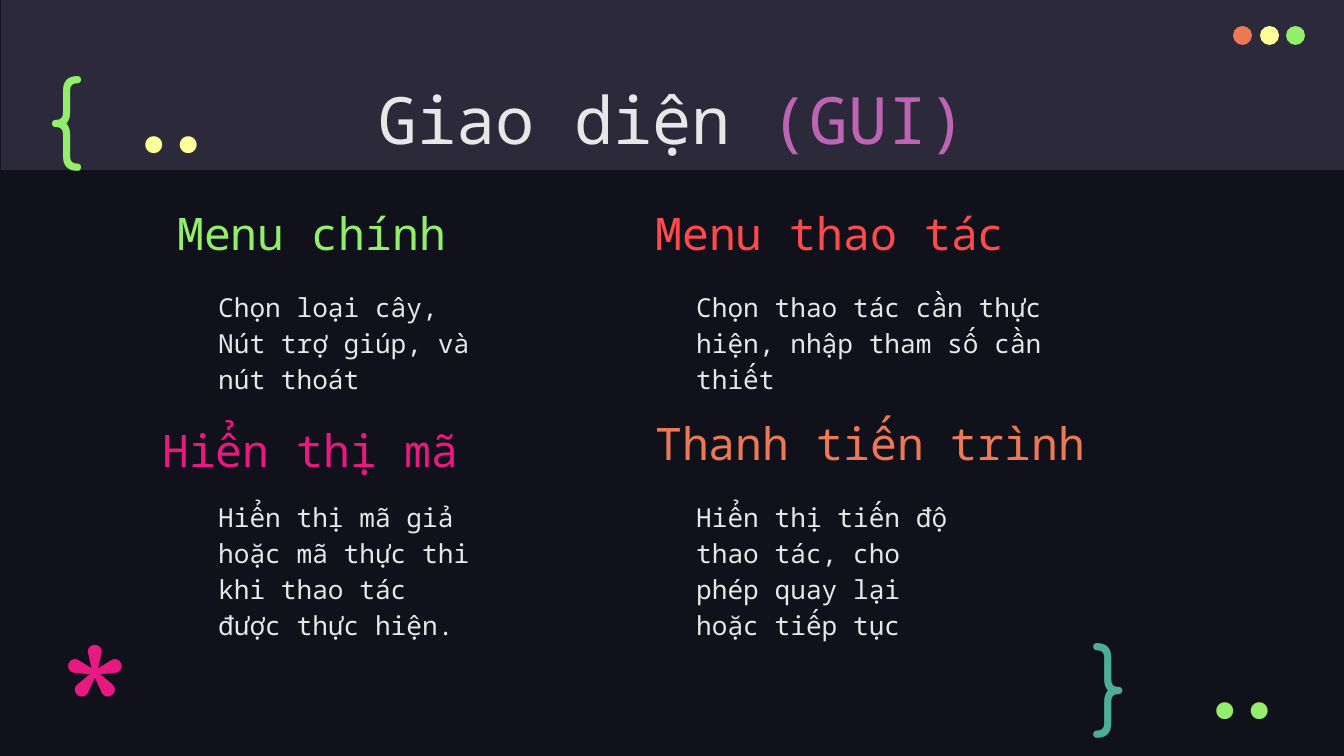
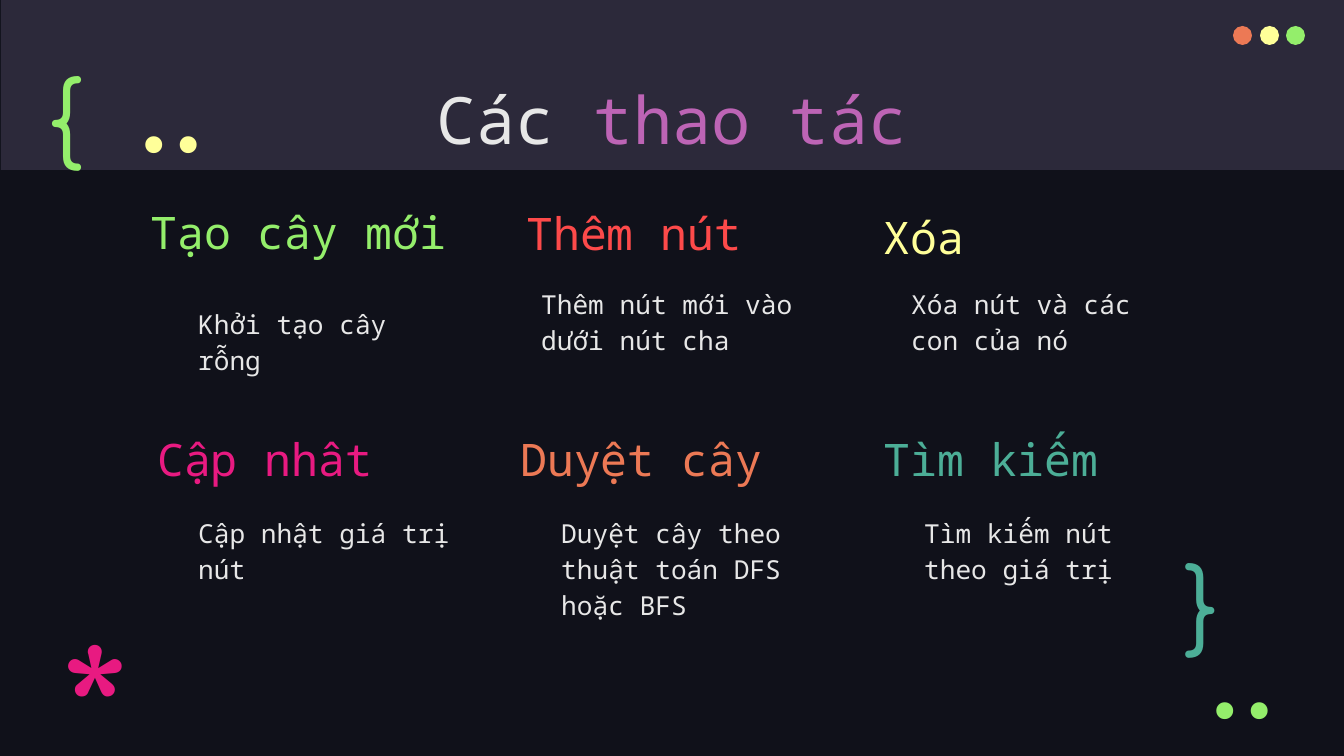
"""Build two slides on the interface and operations of a tree program."""
from dataclasses import dataclass

from pptx import Presentation
from pptx.dml.color import RGBColor
from pptx.enum.shapes import MSO_SHAPE
from pptx.enum.text import MSO_ANCHOR, PP_ALIGN
from pptx.util import Emu, Pt

PX = 914400 / 134.4
BACK, BAND, TEXT, ACCENT = "10111A", "2C293A", "E7E7E7", "BD64B5"
GREEN, RED, YELLOW = "94EE6B", "FD4A4A", "FFFF99"
PINK, ORANGE, TEAL = "E81A81", "EC7955", "4CAE97"
MONO, ROUND, CODE = "Noto Sans Mono", "Comfortaa", "Fira Code"


@dataclass
class Card:
    """A coloured heading with a description, nudged from its grid cell."""
    head: str
    color: str
    body: str
    head_size: tuple = (290, 73)
    head_nudge: tuple = (0, 0)
    body_nudge: tuple = (0, 0)
    body_width: int = 292


SLIDES = [
    {
        "title": ("Giao diện ", "(GUI)"),
        "brace": (1079, 610),
        "grid": {"origin": (164, 200), "step": (478, 210), "columns": 2},
        "cards": [
            Card("Menu chính", GREEN,
                 "Chọn loại cây, Nút trợ giúp, và nút thoát", (333, 73)),
            Card("Menu thao tác", RED,
                 "Chọn thao tác cần thực hiện, nhập tham số cần thiết",
                 (435, 73), body_width=414),
            Card("Hiển thị mã", PINK,
                 "Hiển thị mã giả hoặc mã thực thi khi thao tác được thực hiện.",
                 (405, 73), (-15, 7)),
            Card("Thanh tiến trình", ORANGE,
                 "Hiển thị tiến độ thao tác, cho phép quay lại hoặc tiếp tục",
                 (552, 73)),
        ],
    },
    {
        "title": ("Các ", "thao tác"),
        "brace": (1171, 530),
        "grid": {"origin": (144, 200), "step": (363, 226), "columns": 3},
        "cards": [
            Card("Tạo cây mới", GREEN, "Khởi tạo cây rỗng",
                 (351, 81), (-7, -9), (0, 17)),
            Card("Thêm nút", RED, "Thêm nút mới vào dưới nút cha",
                 head_nudge=(6, 0), body_nudge=(-20, -3)),
            Card("Xóa", YELLOW, "Xóa nút và các con của nó",
                 head_nudge=(0, 4), body_nudge=(-13, -3)),
            Card("Cập nhât", PINK, "Cập nhật giá trị nút"),
            Card("Duyệt cây", ORANGE, "Duyệt cây theo thuật toán DFS hoặc BFS"),
            Card("Tìm kiếm", TEAL, "Tìm kiếm nút theo giá trị"),
        ],
    },
]
BODY_OFFSET, BODY_HEIGHT = (41, 73), 129
LIGHTS = [(1233, ORANGE), (1260, YELLOW), (1286, GREEN)]


def rgb(color):
    return RGBColor.from_string(color)


def emu(*lengths):
    return [Emu(round(n * PX)) for n in lengths]


def add_filled(shapes, kind, box, color):
    sp = shapes.add_shape(kind, *emu(*box))
    sp.shadow.inherit = False
    sp.fill.solid()
    sp.fill.fore_color.rgb = rgb(color)
    sp.line.fill.background()


def add_text(slide, box, runs, size, font=MONO, align=PP_ALIGN.LEFT,
             anchor=MSO_ANCHOR.TOP, spacing=None):
    tf = slide.shapes.add_textbox(*emu(*box)).text_frame
    tf.word_wrap = True
    tf.vertical_anchor = anchor
    tf.margin_left = tf.margin_right = tf.margin_top = tf.margin_bottom = Pt(7.2)
    p = tf.paragraphs[0]
    p.alignment = align
    p.line_spacing = spacing
    p.font.size = Pt(size)
    p.font.name = font
    for text, color in runs:
        r = p.add_run()
        r.text = text
        r.font.color.rgb = rgb(color)


def add_card(slide, card, x, y):
    head_x, head_y = x + card.head_nudge[0], y + card.head_nudge[1]
    body_x = x + BODY_OFFSET[0] + card.body_nudge[0]
    body_y = y + BODY_OFFSET[1] + card.body_nudge[1]
    add_text(slide, (head_x, head_y, *card.head_size), [(card.head, card.color)],
             24, anchor=MSO_ANCHOR.BOTTOM, spacing=1.15)
    add_text(slide, (body_x, body_y, card.body_width, BODY_HEIGHT),
             [(card.body, TEXT)], 14, spacing=1.15)


def add_marks(slide, brace):
    add_text(slide, (34, 43, 103, 128), [("{", GREEN)], 50, ROUND)
    add_text(slide, (*brace, 77, 112), [("}", TEAL)], 50, ROUND)
    for x, y, color in [(1169, 641, GREEN), (98, 75, YELLOW)]:
        add_text(slide, (x, y, 144, 81), [("..", color)], 50, CODE,
                 PP_ALIGN.RIGHT, MSO_ANCHOR.MIDDLE)
    lights = slide.shapes.add_group_shape()
    for x, color in LIGHTS:
        add_filled(lights.shapes, MSO_SHAPE.OVAL, (x, 26, 19, 19), color)
    add_text(slide, (47, 593, 77, 117), [("*", PINK)], 96, ROUND)


def add_slide(prs, content):
    slide = prs.slides.add_slide(prs.slide_layouts[6])
    slide.background.fill.solid()
    slide.background.fill.fore_color.rgb = rgb(BACK)
    add_filled(slide.shapes, MSO_SHAPE.RECTANGLE, (1, 0, 1344, 170), BAND)
    add_text(slide, (106, 66, 1133, 85), zip(content["title"], (TEXT, ACCENT)),
             35, align=PP_ALIGN.CENTER)
    grid = content["grid"]
    (left, top), (dx, dy) = grid["origin"], grid["step"]
    for i, card in enumerate(content["cards"]):
        row, col = divmod(i, grid["columns"])
        add_card(slide, card, left + col * dx, top + row * dy)
    add_marks(slide, content["brace"])


def main():
    prs = Presentation()
    prs.slide_width, prs.slide_height = emu(1344, 756)
    for content in SLIDES:
        add_slide(prs, content)
    prs.save("out.pptx")


if __name__ == "__main__":
    main()
